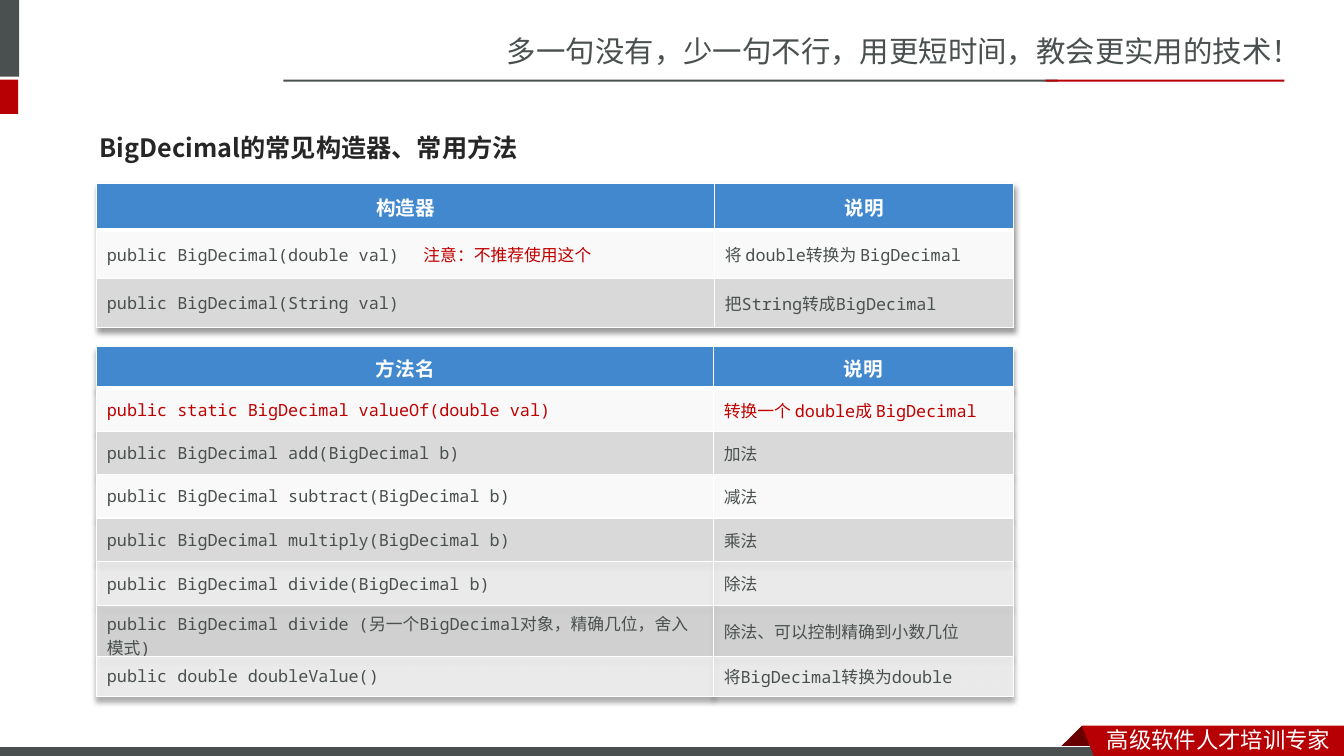
from lxml import etree
from pptx import Presentation
from pptx.dml.color import RGBColor
from pptx.enum.shapes import MSO_SHAPE
from pptx.enum.text import MSO_ANCHOR, MSO_AUTO_SIZE, PP_ALIGN
from pptx.oxml.ns import qn
from pptx.util import Inches, Pt

RECTANGLE = MSO_SHAPE.RECTANGLE
MIDDLE, TOP = MSO_ANCHOR.MIDDLE, MSO_ANCHOR.TOP
LEFT, CENTER = PP_ALIGN.LEFT, PP_ALIGN.CENTER
NO_AUTOFIT = MSO_AUTO_SIZE.NONE

SANS, HEADING, MONO = "Noto Sans CJK SC", "Noto Sans CJK JP", "Noto Sans Mono"
GRAY, RED, DARK_RED, NOTE_RED = "49504F", "B60004", "680000", "C00000"
WHITE, BLUE, LIGHT, BAND, INK = "FFFFFF", "4188CE", "F9F9F9", "D9D9D9", "262626"

CONSTRUCTORS = [
    ("构造器", "说明"),
    ("public BigDecimal(double val)", "将 double转换为 BigDecimal"),
    ("public BigDecimal(String val)", "把String转成BigDecimal"),
]
METHODS = [
    ("方法名", "说明"),
    ("public static BigDecimal valueOf(double val)", "转换一个 double成 BigDecimal"),
    ("public BigDecimal add(BigDecimal b)", "加法"),
    ("public BigDecimal subtract(BigDecimal b)", "减法"),
    ("public BigDecimal multiply(BigDecimal b)", "乘法"),
    ("public BigDecimal divide(BigDecimal b)", "除法"),
    ("public BigDecimal divide (另一个BigDecimal对象，精确几位，舍入模式)", "除法、可以控制精确到小数几位"),
    ("public double doubleValue()", "将BigDecimal转换为double"),
]


def color(value):
    """Turn a hex string into a colour."""
    return RGBColor.from_string(value)


def add_text(paragraph, text, size=12, font=MONO, ink=GRAY, bold=False, align=LEFT):
    """Add one formatted run to a paragraph."""
    paragraph.alignment = align
    run = paragraph.add_run()
    run.text = text
    run.font.size, run.font.name, run.font.bold = Pt(size), font, bold
    run.font.color.rgb = color(ink)
    east_asian = etree.Element(qn("a:ea"), typeface=SANS if font == MONO else font)
    run.font._element.find(qn("a:latin")).addnext(east_asian)
    return run


def add_color(parent, value, alpha=None):
    """Add a colour element with optional opacity in percent."""
    element = etree.SubElement(parent, qn("a:srgbClr"), val=value)
    if alpha:
        etree.SubElement(element, qn("a:alpha"), val=str(alpha * 1000))


class SlideBuilder:
    """Hold the slide and draw its kinds of element."""

    def __init__(self, presentation):
        """Add a slide that has only a title placeholder."""
        self.slide = presentation.slides.add_slide(presentation.slide_layouts[5])

    def paint(self, shape, fill, line=None):
        """Give a shape its flat style."""
        shape.shadow.inherit = False
        shape.fill.solid()
        shape.fill.fore_color.rgb = color(fill)
        if line:
            shape.line.color.rgb = color(line)
            shape.line.width = Pt(0.75)
        else:
            shape.line.fill.background()

    def bar(self, left, top, width, height, fill, line=None):
        """Draw a filled rectangle."""
        shape = self.slide.shapes.add_shape(
            RECTANGLE, Inches(left), Inches(top), Inches(width), Inches(height))
        self.paint(shape, fill, line)

    def outline(self, points, fill):
        """Draw a filled polygon."""
        start, *others = [(Inches(x), Inches(y)) for x, y in points]
        builder = self.slide.shapes.build_freeform(*start)
        builder.add_line_segments(others)
        self.paint(builder.convert_to_shape(), fill)

    def label(self, left, top, width, height, text, **style):
        """Place a line of text."""
        box = self.slide.shapes.add_textbox(
            Inches(left), Inches(top), Inches(width), Inches(height))
        box.text_frame.word_wrap = True
        add_text(box.text_frame.paragraphs[0], text, **style)

    def title(self, left, top, width, height, text, **style):
        """Move and fill the title placeholder."""
        title = self.slide.shapes.title
        title.left, title.top = Inches(left), Inches(top)
        title.width, title.height = Inches(width), Inches(height)
        frame = title.text_frame
        frame.word_wrap, frame.auto_size, frame.vertical_anchor = True, NO_AUTOFIT, TOP
        frame.paragraphs[0].line_spacing = 1.5
        add_text(frame.paragraphs[0], text, **style)

    def cell(self, cell, text, row, fill, ink, alpha):
        """Fill and border one table cell."""
        cell.vertical_anchor = MIDDLE
        properties = cell._tc.get_or_add_tcPr()
        widths = {"L": 1, "R": 1, "T": 3 if row == 1 else 1, "B": 3 if row == 0 else 1}
        for side, width in widths.items():
            border = etree.SubElement(properties, qn(f"a:ln{side}"), w=str(Pt(width)))
            add_color(etree.SubElement(border, qn("a:solidFill")), WHITE)
        add_color(etree.SubElement(properties, qn("a:solidFill")), fill, alpha)
        header = {"size": 14, "bold": True, "align": CENTER} if row == 0 else {}
        add_text(cell.text_frame.paragraphs[0], text, ink=ink, **header)

    def table(self, left, top, widths, heights, rows, red_rows=(), clear_from=None):
        """Draw a banded table with a soft shadow."""
        frame = self.slide.shapes.add_table(
            len(rows), len(widths), Inches(left), Inches(top),
            Inches(sum(widths)), Inches(sum(heights)))
        table = frame.table
        table.horz_banding = False
        effects = etree.Element(qn("a:effectLst"))
        shadow = etree.SubElement(effects, qn("a:outerShdw"), blurRad=str(Pt(4)),
                                  dist=str(Pt(3)), dir="5400000", algn="t", rotWithShape="0")
        add_color(shadow, "000000", 40)
        table._tbl.tblPr.insert(0, effects)
        for column, width in zip(table.columns, widths):
            column.width = Inches(width)
        for index, (texts, height) in enumerate(zip(rows, heights)):
            table.rows[index].height = Inches(height)
            fill = BLUE if index == 0 else LIGHT if index % 2 else BAND
            ink = WHITE if index == 0 else NOTE_RED if index in red_rows else GRAY
            alpha = 80 if clear_from and index >= clear_from else None
            for column, text in enumerate(texts):
                self.cell(table.cell(index, column), text, index, fill, ink, alpha)
        return table

    def tabbed_note(self, cell, text, position, **style):
        """Append a note at a tab stop in a cell."""
        paragraph = cell.text_frame.paragraphs[0]
        stops = etree.SubElement(paragraph._p.get_or_add_pPr(), qn("a:tabLst"))
        etree.SubElement(stops, qn("a:tab"), pos=str(Inches(position)), algn="l")
        add_text(paragraph, "\t" + text, **style)


def main():
    """Build and save the slide."""
    presentation = Presentation()
    presentation.slide_width, presentation.slide_height = Inches(13.33), Inches(7.5)
    builder = SlideBuilder(presentation)

    builder.label(4.93, 0.28, 8.41, 0.47, "多一句没有，少一句不行，用更短时间，教会更实用的技术！",
                  size=21, font=SANS)
    builder.bar(-0.06, 0, 0.25, 0.76, GRAY)
    builder.bar(-0.06, 0.79, 0.24, 0.34, RED)
    builder.bar(2.81, 0.79, 7.68, 0.02, GRAY)
    builder.bar(10.37, 0.79, 2.37, 0.02, RED)

    builder.outline([(10.73, 7.2), (10.95, 7.42), (10.94, 7.43), (10.52, 7.43),
                     (10.51, 7.42), (10.73, 7.2)], DARK_RED)
    builder.bar(-0.01, 7.41, 11, 0.12, GRAY, line=WHITE)
    builder.outline([(10.73, 7.2), (13.33, 7.2), (13.33, 7.54), (10.86, 7.53),
                     (10.73, 7.2)], RED)
    builder.label(10.88, 7.15, 2.45, 0.37, "高级软件人才培训专家", size=16, font=SANS, ink=WHITE)

    builder.title(0.89, 1.11, 10.73, 0.51, "BigDecimal的常见构造器、常用方法",
                  size=18, font=HEADING, ink=INK, bold=True)
    builder.table(0.96, 3.44, [6.12, 2.97], [0.41, 0.43, 0.43, 0.43, 0.43, 0.44, 0.4, 0.4],
                  METHODS, red_rows=(1,), clear_from=5)
    constructors = builder.table(0.96, 1.82, [6.13, 2.96], [0.46, 0.48, 0.49], CONSTRUCTORS)
    builder.tabbed_note(constructors.cell(1, 0), "注意：不推荐使用这个", 3.14, ink=NOTE_RED)

    presentation.save("out.pptx")


if __name__ == "__main__":
    main()
